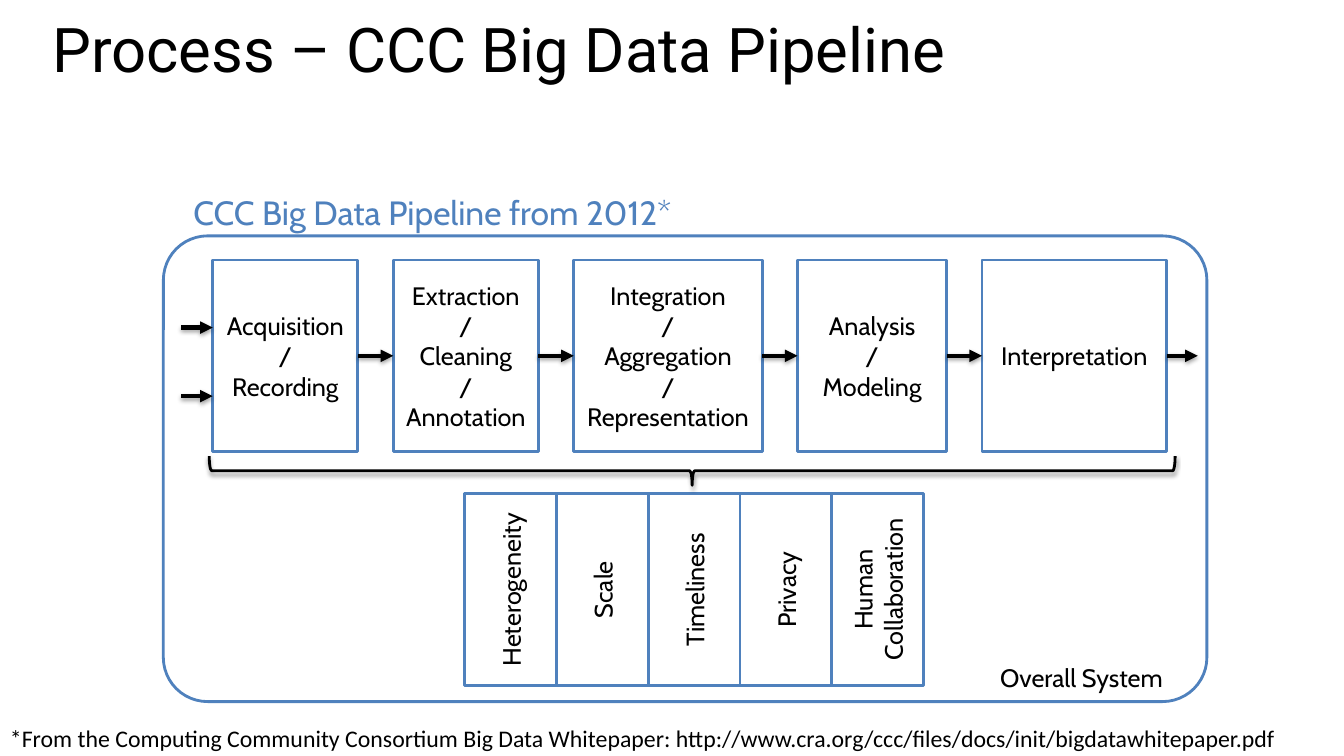
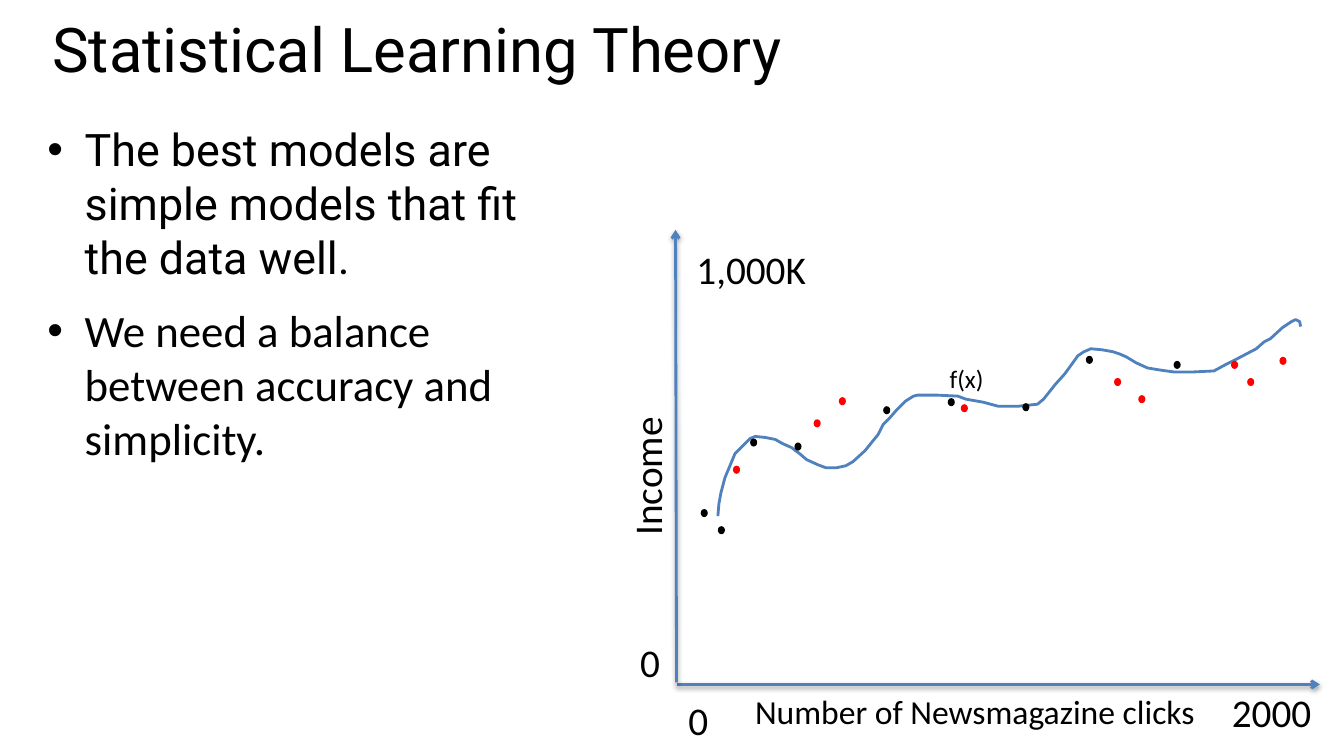
from dataclasses import dataclass

from lxml import etree
from pptx import Presentation
from pptx.dml.color import RGBColor
from pptx.enum.shapes import MSO_CONNECTOR, MSO_SHAPE
from pptx.enum.text import MSO_ANCHOR, MSO_AUTO_SIZE, PP_ALIGN
from pptx.oxml.ns import qn
from pptx.shapes.autoshape import Shape
from pptx.shapes.connector import Connector
from pptx.slide import Slide
from pptx.text.text import TextFrame, _Paragraph
from pptx.util import Emu, Pt

STRAIGHT = MSO_CONNECTOR.STRAIGHT
RECTANGLE = MSO_SHAPE.RECTANGLE
ROUNDED = MSO_SHAPE.ROUNDED_RECTANGLE
BRACE = MSO_SHAPE.LEFT_BRACE
OVAL = MSO_SHAPE.OVAL
TOP, MIDDLE = MSO_ANCHOR.TOP, MSO_ANCHOR.MIDDLE
NO_FIT = MSO_AUTO_SIZE.NONE
LEFT, CENTER = PP_ALIGN.LEFT, PP_ALIGN.CENTER

EMU_PER_PX = 9144
BLACK = RGBColor(0x00, 0x00, 0x00)
WHITE = RGBColor(0xFF, 0xFF, 0xFF)
BLUE = RGBColor(0x4F, 0x81, 0xBD)
RED = RGBColor(0xFF, 0x00, 0x00)
HEADING_FONT, DIAGRAM_FONT, PLAIN_FONT = "Roboto", "Cabin", "Calibri"
TITLE_ONLY, TITLE_AND_CONTENT = 5, 1
LEFT_SIDE, RIGHT_SIDE = 1, 3


@dataclass(frozen=True)
class Box:
    left: int
    top: int
    width: int
    height: int

    def emu(self) -> tuple[Emu, Emu, Emu, Emu]:
        return px(self.left), px(self.top), px(self.width), px(self.height)


@dataclass(frozen=True)
class Label:
    text: str
    box: Box
    size: int
    font: str = PLAIN_FONT
    color: RGBColor = BLACK
    wrap: bool = False
    rotation: int = 0


@dataclass(frozen=True)
class Stage:
    lines: tuple[str, ...]
    width: int


@dataclass(frozen=True)
class Arrow:
    start: tuple[int, int]
    end: tuple[int, int]
    color: RGBColor = BLACK
    weight: int = 3
    head: str = "triangle"


@dataclass(frozen=True)
class Samples:
    color: RGBColor
    corners: tuple[tuple[int, int], ...]


TITLE_BOX = Box(42, 20, 1260, 116)
BODY_BOX = Box(37, 116, 534, 579)

SYSTEM_BOX = Box(162, 234, 1035, 462)
BRACE_BOX = Box(672, -12, 29, 958)
STAGE_LEFT, STAGE_TOP, STAGE_HEIGHT, STAGE_GAP = 211, 258, 190, 35
STAGES = (
    Stage(("Acquisition / Recording",), 144),
    Stage(("Extraction /", "Cleaning", "/ Annotation"), 144),
    Stage(("Integration", "/", "Aggregation", "/ Representation"), 187),
    Stage(("Analysis", "/", "Modeling"), 148),
    Stage(("Interpretation",), 183),
)
INPUT_LEFT, INPUT_YS = 180, (325, 393)
OUTPUT_RIGHT = 1188
CHALLENGE_LEFT, CHALLENGE_TOP, CHALLENGE_WIDTH = 461, 490, 91
CHALLENGES = ("Heterogeneity", "Scale", "Timeliness", "Privacy", "Human Collaboration")
PIPELINE_LABELS = (
    Label("*From the Computing Community Consortium Big Data Whitepaper: "
          "http://www.cra.org/ccc/files/docs/init/bigdatawhitepaper.pdf",
          Box(0, 713, 1318, 39), 17, wrap=True),
    Label("CCC Big Data Pipeline from 2012*", Box(182, 185, 648, 50), 24,
          DIAGRAM_FONT, BLUE, wrap=True),
    Label("Overall System", Box(982, 652, 183, 40), 18, DIAGRAM_FONT),
)

AXES = (
    Arrow((671, 679), (1309, 679), BLUE, 2, "arrow"),
    Arrow((671, 677), (670, 228), BLUE, 2, "arrow"),
)
GRAPH_LABELS = (
    Label("0", Box(673, 686, 40, 57), 28),
    Label("2000", Box(1212, 678, 100, 57), 28),
    Label("Number of Newsmagazine clicks", Box(739, 681, 562, 50), 24, wrap=True),
    Label("Income", Box(572, 443, 139, 57), 28, rotation=270),
    Label("0", Box(625, 628, 40, 57), 28),
    Label("1,000K", Box(681, 238, 130, 57), 28),
    Label("f(x)", Box(932, 356, 54, 40), 18),
)
FITTED_CURVE = (
    (712, 512), (713, 500), (715, 489), (719, 474), (724, 462), (729, 450),
    (740, 439), (744, 435), (749, 433), (759, 434), (769, 436), (776, 440),
    (785, 444), (793, 450), (800, 456), (811, 461), (819, 464), (830, 464),
    (839, 462), (846, 458), (858, 447), (871, 431), (876, 421), (883, 414),
    (889, 407), (898, 398), (906, 393), (910, 392), (930, 392), (950, 393),
    (958, 396), (975, 399), (990, 403), (1010, 403), (1029, 401), (1035, 396),
    (1047, 381), (1056, 371), (1064, 360), (1069, 353), (1075, 349),
    (1082, 346), (1093, 347), (1104, 349), (1110, 351), (1117, 354),
    (1127, 360), (1138, 365), (1150, 367), (1164, 369), (1184, 369),
    (1204, 368), (1215, 362), (1225, 357), (1246, 346), (1254, 339),
    (1260, 336), (1272, 325), (1281, 319), (1285, 317), (1289, 319), (1290, 324),
)
DOT_WIDTH, DOT_HEIGHT = 7, 8
SAMPLES = (
    Samples(BLACK, ((876, 403), (695, 505), (1014, 400), (1077, 353), (1164, 358),
                    (940, 395), (712, 522), (744, 435), (788, 439))),
    Samples(RED, ((727, 462), (832, 394), (807, 416), (1129, 392), (1105, 375),
                  (1221, 358), (1269, 354), (1237, 375), (953, 401))),
)
PRINCIPLES = (
    ("The best models are simple models that fit the data well.", HEADING_FONT),
    ("We need a balance between accuracy and simplicity.", PLAIN_FONT),
)


def px(length: int) -> Emu:
    return Emu(length * EMU_PER_PX)


def add_run(paragraph: _Paragraph, text: str, font: str, size: int,
            color: RGBColor = BLACK) -> None:
    run = paragraph.add_run()
    run.text = text
    run.font.name = font
    run.font.size = Pt(size)
    run.font.color.rgb = color


def paragraph_at(frame: TextFrame, index: int) -> _Paragraph:
    return frame.add_paragraph() if index else frame.paragraphs[0]


def place(holder: Shape, box: Box) -> TextFrame:
    holder.left, holder.top, holder.width, holder.height = box.emu()
    frame = holder.text_frame
    frame.auto_size = NO_FIT
    frame.vertical_anchor = TOP
    return frame


def add_titled_slide(deck: Presentation, layout: int, title: str) -> Slide:
    slide = deck.slides.add_slide(deck.slide_layouts[layout])
    heading = place(slide.shapes.title, TITLE_BOX).paragraphs[0]
    heading.alignment = LEFT
    heading.line_spacing = 0.8
    add_run(heading, title, HEADING_FONT, 44)
    return slide


def add_label(slide: Slide, label: Label) -> None:
    textbox = slide.shapes.add_textbox(*label.box.emu())
    textbox.rotation = label.rotation
    textbox.text_frame.word_wrap = label.wrap
    add_run(textbox.text_frame.paragraphs[0], label.text, label.font, label.size, label.color)


def add_outline(slide: Slide, preset: MSO_SHAPE, box: Box) -> Shape:
    outline = slide.shapes.add_shape(preset, *box.emu())
    outline.shadow.inherit = False
    outline.fill.solid()
    outline.fill.fore_color.rgb = WHITE
    outline.line.color.rgb = BLUE
    outline.line.width = Pt(2)
    return outline


def add_text_box(slide: Slide, box: Box, lines: tuple[str, ...]) -> Shape:
    cell = add_outline(slide, RECTANGLE, box)
    frame = cell.text_frame
    frame.word_wrap = True
    frame.vertical_anchor = MIDDLE
    for index, line in enumerate(lines):
        paragraph = paragraph_at(frame, index)
        paragraph.alignment = CENTER
        add_run(paragraph, line, DIAGRAM_FONT, 18)
    return cell


def cast_shadow(effects: etree._Element) -> None:
    shadow = etree.SubElement(effects, qn("a:outerShdw"), blurRad="40000", dist="21000",
                              dir="5400000", rotWithShape="0")
    tint = etree.SubElement(shadow, qn("a:srgbClr"), val=str(BLACK))
    etree.SubElement(tint, qn("a:alpha"), val="37000")


def add_arrow(slide: Slide, arrow: Arrow) -> Connector:
    connector = slide.shapes.add_connector(
        STRAIGHT, *(px(value) for value in arrow.start + arrow.end))
    connector.line.color.rgb = arrow.color
    connector.line.width = Pt(arrow.weight)
    properties = connector.element.spPr
    etree.SubElement(properties.find(qn("a:ln")), qn("a:tailEnd"), type=arrow.head)
    cast_shadow(etree.SubElement(properties, qn("a:effectLst")))
    return connector


def add_stages(slide: Slide) -> None:
    middle = STAGE_TOP + STAGE_HEIGHT // 2
    left = STAGE_LEFT
    previous = None
    for stage in STAGES:
        current = add_text_box(slide, Box(left, STAGE_TOP, stage.width, STAGE_HEIGHT),
                               stage.lines)
        if previous is not None:
            flow = add_arrow(slide, Arrow((left - STAGE_GAP, middle), (left, middle)))
            flow.begin_connect(previous, RIGHT_SIDE)
            flow.end_connect(current, LEFT_SIDE)
        previous = current
        left += stage.width + STAGE_GAP
    output = add_arrow(slide, Arrow((left - STAGE_GAP, middle), (OUTPUT_RIGHT, middle)))
    output.begin_connect(previous, RIGHT_SIDE)
    for y in INPUT_YS:
        add_arrow(slide, Arrow((INPUT_LEFT, y), (STAGE_LEFT, y)))


def build_pipeline(deck: Presentation) -> None:
    slide = add_titled_slide(deck, TITLE_ONLY, "Process – CCC Big Data Pipeline")
    system = add_outline(slide, ROUNDED, SYSTEM_BOX)
    system.adjustments[0] = 0.095
    add_stages(slide)
    for index, challenge in enumerate(CHALLENGES):
        box = Box(CHALLENGE_LEFT + index * CHALLENGE_WIDTH, CHALLENGE_TOP,
                  CHALLENGE_WIDTH, STAGE_HEIGHT)
        cell = add_text_box(slide, box, (challenge,))
        cell.element.txBody.bodyPr.set("vert", "vert270")
    brace = add_outline(slide, BRACE, BRACE_BOX)
    brace.rotation = 270
    brace.fill.background()
    brace.line.color.rgb = BLACK
    cast_shadow(brace.element.spPr.find(qn("a:effectLst")))
    for label in PIPELINE_LABELS:
        add_label(slide, label)


def add_principles(slide: Slide) -> None:
    frame = place(slide.placeholders[1], BODY_BOX)
    for index, (principle, font) in enumerate(PRINCIPLES):
        paragraph = paragraph_at(frame, index)
        paragraph.space_before = Pt(14 if index else 0)
        properties = paragraph._p.get_or_add_pPr()
        properties.set("marL", str(px(37)))
        properties.set("indent", str(px(-37)))
        etree.SubElement(properties, qn("a:buFont"), typeface="Arial")
        etree.SubElement(properties, qn("a:buChar"), char="•")
        add_run(paragraph, principle, font, 32)


def build_learning_theory(deck: Presentation) -> None:
    slide = add_titled_slide(deck, TITLE_AND_CONTENT, "Statistical Learning Theory")
    add_principles(slide)
    for axis in AXES:
        add_arrow(slide, axis)
    for label in GRAPH_LABELS:
        add_label(slide, label)
    builder = slide.shapes.build_freeform(*FITTED_CURVE[0], scale=EMU_PER_PX)
    builder.add_line_segments(FITTED_CURVE[1:], close=False)
    curve = builder.convert_to_shape()
    curve.shadow.inherit = False
    curve.fill.background()
    curve.line.color.rgb = BLUE
    curve.line.width = Pt(2)
    for samples in SAMPLES:
        for left, top in samples.corners:
            dot = add_outline(slide, OVAL, Box(left, top, DOT_WIDTH, DOT_HEIGHT))
            dot.fill.fore_color.rgb = samples.color
            dot.line.fill.background()


def main() -> None:
    deck = Presentation()
    deck.slide_width, deck.slide_height = px(1333), px(750)
    build_pipeline(deck)
    build_learning_theory(deck)
    deck.save("out.pptx")


if __name__ == "__main__":
    main()
